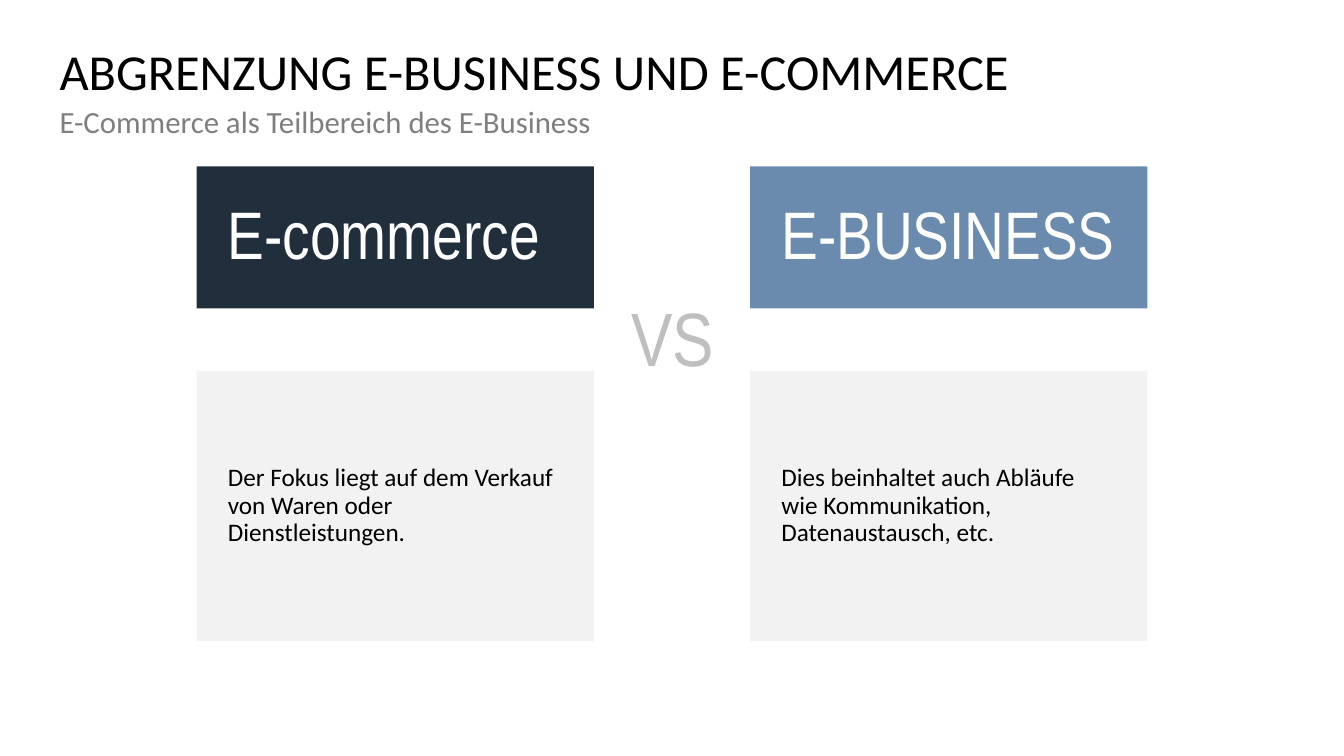
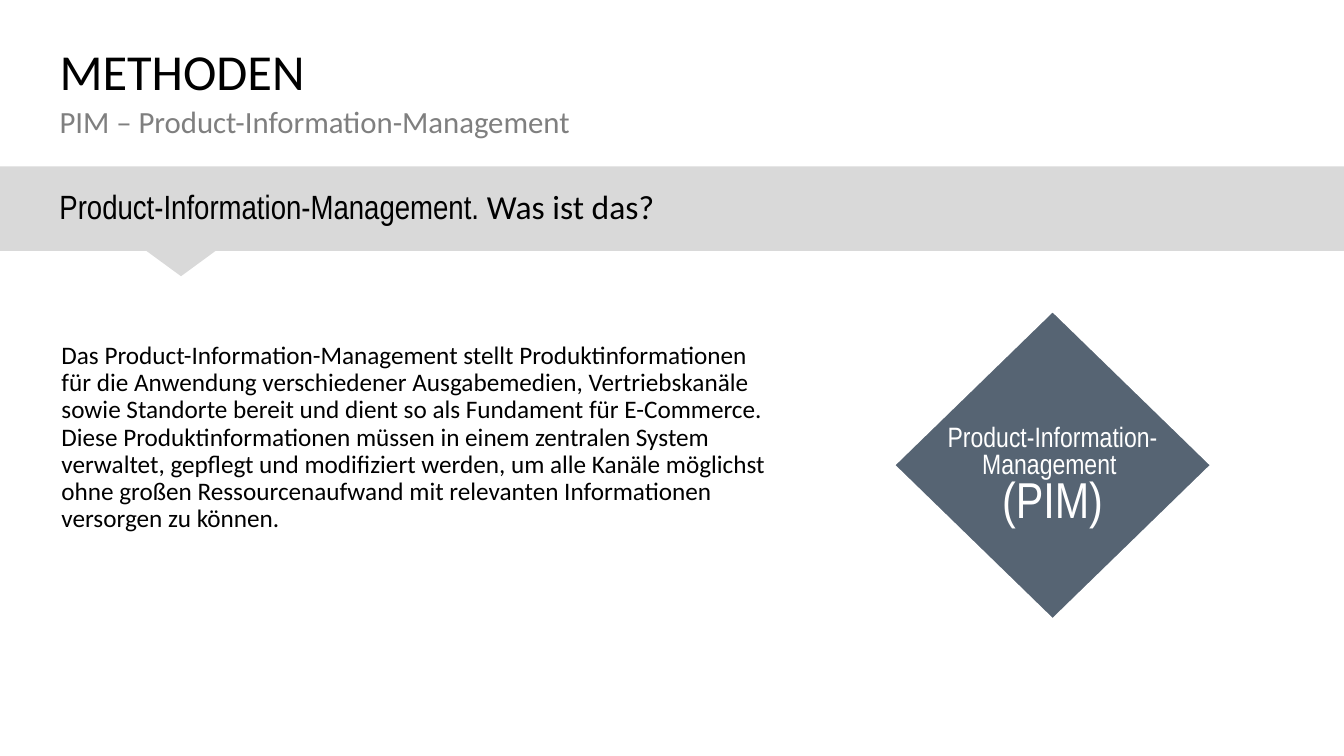
"""Build two slides on e-business and product information management."""
import lxml.etree
import pptx
import pptx.dml.color
import pptx.enum.shapes
import pptx.enum.text
import pptx.oxml.ns
import pptx.util

Inches = pptx.util.Inches
Pt = pptx.util.Pt
RGBColor = pptx.dml.color.RGBColor
SHAPE = pptx.enum.shapes.MSO_SHAPE
ANCHOR = pptx.enum.text.MSO_ANCHOR
ALIGN = pptx.enum.text.PP_ALIGN

BLACK = RGBColor(0x00, 0x00, 0x00)
WHITE = RGBColor(0xFF, 0xFF, 0xFF)
GRAY = RGBColor(0x7F, 0x7F, 0x7F)
SILVER = RGBColor(0xBF, 0xBF, 0xBF)
BAND = RGBColor(0xD9, 0xD9, 0xD9)
PANEL = RGBColor(0xF2, 0xF2, 0xF2)
NAVY = RGBColor(0x21, 0x2E, 0x3C)
BLUE = RGBColor(0x6A, 0x8B, 0xAD)
SLATE = RGBColor(0x2C, 0x3E, 0x50)

SANS = "Calibri"
NARROW = "Arial Narrow"
WIDTH = 13.33
MARGIN = 0.59
CONTENT_TOP = 1.65


def write(sp, runs, color, insets=(0, 0, 0, 0), align=ALIGN.LEFT,
          anchor=ANCHOR.TOP, spacing=0.9, after=0, wrap=True):
    tf = sp.text_frame
    tf.word_wrap = wrap
    tf.vertical_anchor = anchor
    tf.margin_left, tf.margin_top, tf.margin_right, tf.margin_bottom = map(Inches, insets)
    p = tf.paragraphs[0]
    p.alignment = align
    p.line_spacing = spacing
    p.space_after = Pt(after)
    for text, size, font in runs:
        for i, line in enumerate(text.split("\n")):
            if i:
                p.add_line_break()
            if line:
                r = p.add_run()
                r.text = line
                r.font.size = Pt(size)
                r.font.name = font
                r.font.color.rgb = color


def add_text(s, box, runs, color, **style):
    sp = s.shapes.add_textbox(*map(Inches, box))
    write(sp, runs, color, **style)


def add_block(s, kind, box, fill):
    sp = s.shapes.add_shape(kind, *map(Inches, box))
    sp.shadow.inherit = False
    sp.fill.solid()
    sp.fill.fore_color.rgb = fill
    sp.line.fill.background()
    return sp


def set_alpha(sp, percent):
    qn = pptx.oxml.ns.qn
    clr = sp.fill._xPr.find(qn("a:solidFill")).find(qn("a:srgbClr"))
    lxml.etree.SubElement(clr, qn("a:alpha")).set("val", str(percent * 1000))


def add_slide(prs, title, subtitle):
    s = prs.slides.add_slide(prs.slide_layouts[6])
    add_text(s, (MARGIN, 0.47, 12.15, 0.59), [(title, 36, SANS)], BLACK)
    add_text(s, (MARGIN, 1.06, 12.15, 0.59), [(subtitle, 22, SANS)], GRAY, after=10)
    return s


def add_column(s, left, heading, fill, body):
    width = 3.94
    sp = add_block(s, SHAPE.RECTANGLE, (left, CONTENT_TOP, width, 1.41), fill)
    write(sp, [(heading, 48, NARROW)], WHITE,
          insets=(0.31, 0.08, 0.31, 0.08), anchor=ANCHOR.MIDDLE)
    sp = add_block(s, SHAPE.RECTANGLE, (left, 3.68, width, 2.68), PANEL)
    write(sp, [(body, 18, SANS)], BLACK,
          insets=(0.31, 0.08, 0.28, 0.08), anchor=ANCHOR.MIDDLE, after=10)


def add_band(s, runs):
    height = 0.84
    sp = add_block(s, SHAPE.RECTANGLE, (0, CONTENT_TOP, WIDTH, height), BAND)
    write(sp, runs, BLACK, insets=(MARGIN, 0.05, MARGIN, 0.05), anchor=ANCHOR.MIDDLE)
    pointer = add_block(s, SHAPE.ISOSCELES_TRIANGLE,
                        (1.44, CONTENT_TOP + height - 0.01, 0.71, 0.26), BAND)
    pointer.rotation = 180


def add_diamond(s, box, runs):
    sp = add_block(s, SHAPE.FLOWCHART_DECISION, box, SLATE)
    set_alpha(sp, 80)
    sp.line.color.rgb = WHITE
    sp.line.width = Pt(9.25)
    write(sp, runs, WHITE, insets=(0.1, 0.28, 0.1, 0.05), align=ALIGN.CENTER,
          anchor=ANCHOR.MIDDLE, spacing=0.8, wrap=False)


def build_comparison(prs):
    s = add_slide(prs, "ABGRENZUNG E-BUSINESS UND E-COMMERCE",
                  "E-Commerce als Teilbereich des E-Business")
    add_text(s, (5.9, 2.84, 1.54, 1.01), [("VS", 54, NARROW)], SILVER,
             insets=(0.1, 0.05, 0.1, 0.05), align=ALIGN.CENTER, spacing=1.0)
    add_column(s, 1.95, "E-commerce", NAVY,
               "Der Fokus liegt auf dem Verkauf von Waren oder Dienstleistungen.")
    add_column(s, 7.44, "E-BUSINESS", BLUE,
               "Dies beinhaltet auch Abläufe \nwie Kommunikation, Datenaustausch, etc.")


def build_method(prs):
    s = add_slide(prs, "METHODEN", "PIM – Product-Information-Management")
    add_band(s, [("Product-Information-Management. ", 24, NARROW),
                 ("Was ist das?", 24, SANS)])
    body = ("Das Product-Information-Management stellt Produktinformationen für die "
            "Anwendung verschiedener Ausgabemedien, Vertriebskanäle sowie Standorte "
            "bereit und dient so als Fundament für E-Commerce. Diese "
            "Produktinformationen müssen in einem zentralen System verwaltet, gepflegt "
            "und modifiziert werden, um alle Kanäle möglichst ohne großen "
            "Ressourcenaufwand mit relevanten Informationen versorgen zu können.")
    add_text(s, (0.61, 3.4, 7.14, 1.91), [(body, 18, SANS)], BLACK)
    add_diamond(s, (8.79, 3.01, 3.3, 3.21),
                [("Product-Information-\nManagement \n", 20, NARROW),
                 ("(PIM)", 36, NARROW)])


def main():
    prs = pptx.Presentation()
    prs.slide_width = Inches(WIDTH)
    prs.slide_height = Inches(7.5)
    build_comparison(prs)
    build_method(prs)
    prs.save("out.pptx")


if __name__ == "__main__":
    main()
